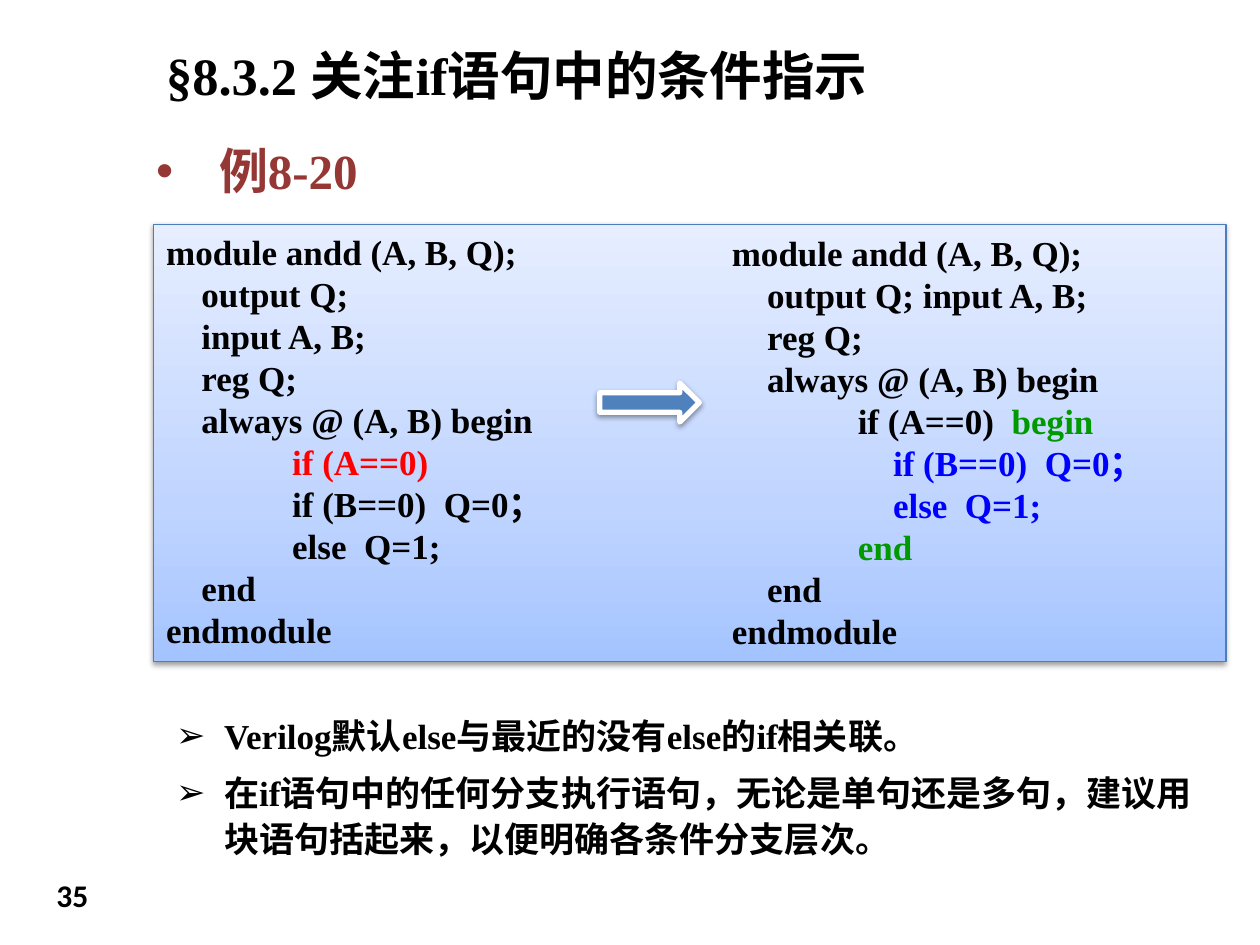
"""Build the slide on condition branches of Verilog if statements."""
import copy

import lxml.etree
import pptx
import pptx.dml.color
import pptx.enum.shapes
import pptx.enum.text
import pptx.oxml.ns
import pptx.util

Inches = pptx.util.Inches
Pt = pptx.util.Pt
qn = pptx.oxml.ns.qn
SHAPES = pptx.enum.shapes.MSO_SHAPE
ANCHOR = pptx.enum.text.MSO_ANCHOR

COLORS = {
    "black": "000000", "white": "FFFFFF", "heading": "953735",
    "red": "FF0000", "green": "009900", "blue": "0000FF",
    "arrow": "4F81BD", "edge": "4B7EBC",
    "deep": "A4C4FF", "mid": "BFD4FF", "pale": "E6EEFF",
}
STEP = 0.28
TAB = 1
PANEL_STOPS = [(0, "deep"), (0.35, "mid"), (1, "pale")]

ORIGINAL_CODE = [
    (0, [("module andd (A, B, Q);", "black")]),
    (STEP, [("output Q;", "black")]),
    (STEP, [("input A, B;", "black")]),
    (STEP, [("reg Q;", "black")]),
    (STEP, [("always @ (A, B) begin", "black")]),
    (TAB, [("if (A==0)", "red")]),
    (TAB, [("if (B==0)  Q=0；", "black")]),
    (TAB, [("else  Q=1;", "black")]),
    (STEP, [("end", "black")]),
    (0, [("endmodule", "black")]),
]
IMPROVED_CODE = [
    (0, [("module andd (A, B, Q);", "black")]),
    (STEP, [("output Q; input A, B;", "black")]),
    (STEP, [("reg Q;", "black")]),
    (STEP, [("always @ (A, B) begin", "black")]),
    (TAB, [("if (A==0)  ", "black"), ("begin", "green")]),
    (TAB + STEP, [("if (B==0)  Q=0；", "blue")]),
    (TAB + STEP, [("else  Q=1;", "blue")]),
    (TAB, [("end", "green")]),
    (STEP, [("end", "black")]),
    (0, [("endmodule", "black")]),
]
ADVICE = [
    "Verilog默认else与最近的没有else的if相关联。",
    "在if语句中的任何分支执行语句，无论是单句还是多句，建议用块语句括起来，以便明确各条件分支层次。",
]


def rgb(name):
    """Return the named colour."""
    return pptx.dml.color.RGBColor.from_string(COLORS[name])


def apply(target, values):
    """Set each attribute of the target from a dict."""
    for name, value in values.items():
        setattr(target, name, value)


def indent(paragraph, left, first=0):
    """Set the left margin and first-line indent in inches."""
    properties = paragraph._p.get_or_add_pPr()
    properties.set("marL", str(Inches(left)))
    properties.set("indent", str(Inches(first)))


def add_bullet(paragraph, mark, color, hang):
    """Give a paragraph a coloured bullet with a hanging indent."""
    indent(paragraph, hang, -hang)
    properties = paragraph._p.get_or_add_pPr()
    tint = lxml.etree.SubElement(properties, qn("a:buClr"))
    lxml.etree.SubElement(tint, qn("a:srgbClr"), val=COLORS[color])
    lxml.etree.SubElement(properties, qn("a:buFont"), typeface="Arial")
    lxml.etree.SubElement(properties, qn("a:buChar"), char=mark)


def add_run(paragraph, text, size=20, color="black", font="Times New Roman"):
    """Append a bold run to a paragraph."""
    run = paragraph.add_run()
    run.text = text
    apply(run.font, {"name": font, "size": Pt(size), "bold": True})
    run.font.color.rgb = rgb(color)


def add_text_box(slide, box, anchor=ANCHOR.TOP):
    """Add a wrapping text box and return its frame."""
    frame = slide.shapes.add_textbox(*map(Inches, box)).text_frame
    apply(frame, {"word_wrap": True, "vertical_anchor": anchor})
    return frame


def next_paragraph(frame, index):
    """Return the first paragraph or a newly added one."""
    return frame.add_paragraph() if index else frame.paragraphs[0]


def write_code(frame, lines):
    """Write code lines with their indents and coloured parts."""
    frame.margin_right = 0
    for index, (left, parts) in enumerate(lines):
        paragraph = next_paragraph(frame, index)
        paragraph.alignment = pptx.enum.text.PP_ALIGN.LEFT
        indent(paragraph, left)
        for text, color in parts:
            add_run(paragraph, text, color=color)


def add_shadowed_shape(slide, kind, box, edge, width):
    """Add an outlined preset shape with a soft shadow below it."""
    shape = slide.shapes.add_shape(kind, *map(Inches, box))
    shape.line.color.rgb = rgb(edge)
    shape.line.width = Pt(width)
    shape.shadow.inherit = False
    effects = shape._element.spPr.find(qn("a:effectLst"))
    shadow = lxml.etree.SubElement(
        effects, qn("a:outerShdw"), blurRad=str(Pt(3.1)), dist=str(Pt(1.6)),
        dir="5400000", rotWithShape="0")
    tint = lxml.etree.SubElement(shadow, qn("a:srgbClr"), val=COLORS["black"])
    lxml.etree.SubElement(tint, qn("a:alpha"), val="38000")
    return shape


def fill_gradient(shape, stops):
    """Fill a shape with a gradient rising from bottom to top."""
    shape.fill.gradient()
    shape.fill.gradient_angle = 90
    stop_list = shape._element.spPr.find(".//" + qn("a:gsLst"))
    while len(stop_list) < len(stops):
        stop_list.append(copy.deepcopy(stop_list[0]))
    for stop, (position, color) in zip(shape.fill.gradient_stops, stops):
        stop.position = position
        stop.color.rgb = rgb(color)


def main():
    """Build and save the slide."""
    deck = pptx.Presentation()
    apply(deck, {"slide_width": Inches(10), "slide_height": Inches(7.5)})
    slide = deck.slides.add_slide(deck.slide_layouts[6])

    title = add_text_box(slide, (1.22, 0.28, 7.88, 0.62), ANCHOR.MIDDLE)
    add_run(title.paragraphs[0], "§8.3.2 关注if语句中的条件指示", 30)

    example = add_text_box(slide, (1.14, 1.07, 8.43, 0.57)).paragraphs[0]
    add_bullet(example, "•", "heading", 0.5)
    add_run(example, "例8-20", 28, "heading")

    panel = add_shadowed_shape(
        slide, SHAPES.RECTANGLE, (1.22, 1.78, 8.51, 3.47), "edge", 0.75)
    fill_gradient(panel, PANEL_STOPS)
    apply(panel.text_frame, {"word_wrap": True, "vertical_anchor": ANCHOR.TOP})
    write_code(panel.text_frame, ORIGINAL_CODE)

    advice = add_text_box(slide, (1.3, 5.59, 8.51, 1.3))
    for index, text in enumerate(ADVICE):
        paragraph = next_paragraph(advice, index)
        apply(paragraph, {"line_spacing": 1.1, "space_after": Pt(6)})
        add_bullet(paragraph, "➢", "black", 0.38)
        add_run(paragraph, text)

    write_code(add_text_box(slide, (5.71, 1.79, 3.54, 3.47)), IMPROVED_CODE)

    arrow = add_shadowed_shape(
        slide, SHAPES.RIGHT_ARROW, (4.76, 3.04, 0.79, 0.31), "white", 3)
    arrow.fill.solid()
    arrow.fill.fore_color.rgb = rgb("arrow")

    number = add_text_box(slide, (0.35, 6.9, 0.63, 0.45))
    add_run(number.paragraphs[0], "35", 18, font="Calibri")

    deck.save("out.pptx")


if __name__ == "__main__":
    main()
